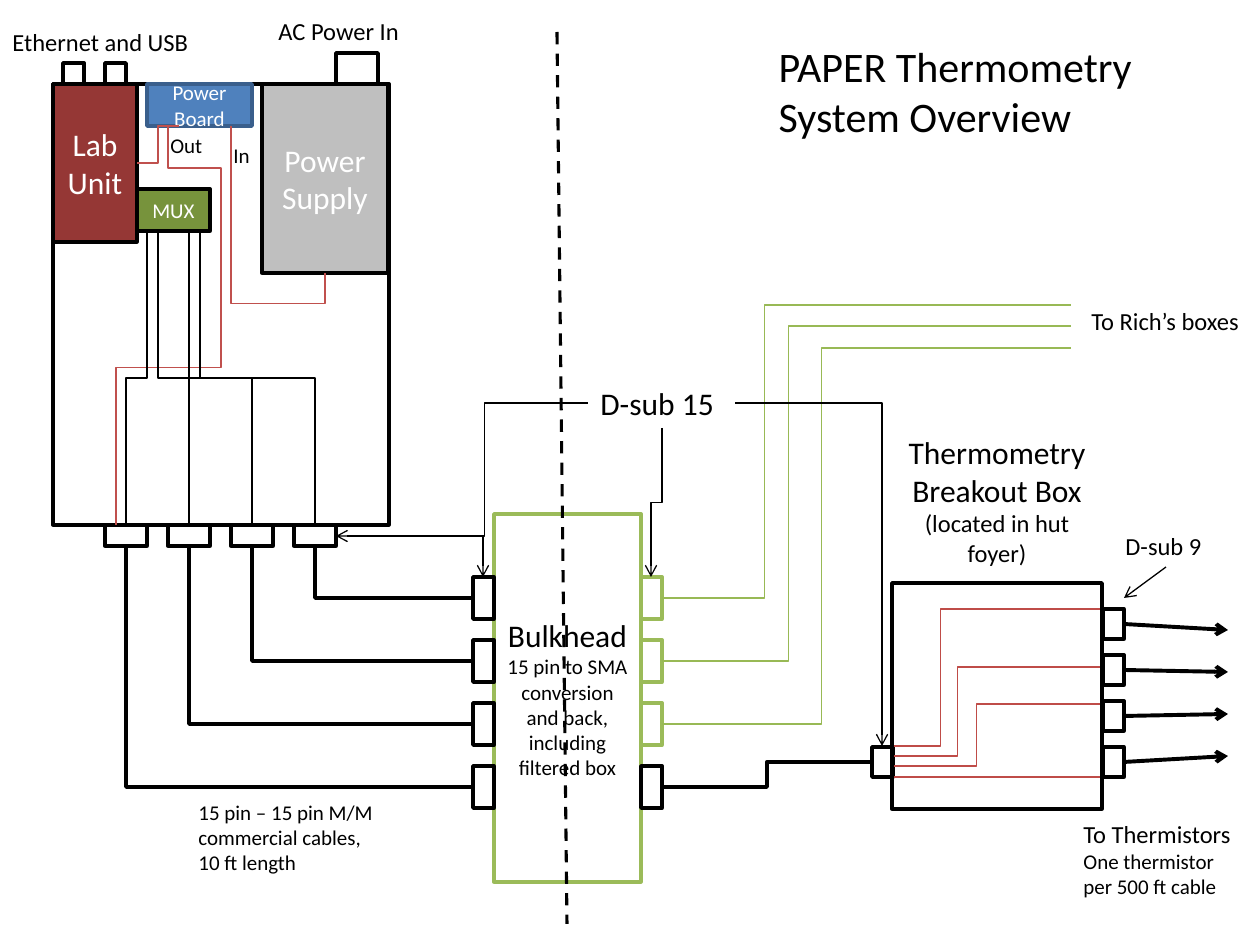
from lxml import etree
from pptx import Presentation
from pptx.dml.color import RGBColor
from pptx.enum.dml import MSO_LINE
from pptx.enum.shapes import MSO_CONNECTOR, MSO_SHAPE
from pptx.enum.text import MSO_ANCHOR, MSO_AUTO_SIZE, PP_ALIGN
from pptx.oxml.ns import qn
from pptx.util import Pt

PIXEL = 914400 / 126
RECTANGLE = MSO_SHAPE.RECTANGLE
STRAIGHT, ELBOW = MSO_CONNECTOR.STRAIGHT, MSO_CONNECTOR.ELBOW
DASH = MSO_LINE.DASH
LEFT, CENTER = PP_ALIGN.LEFT, PP_ALIGN.CENTER
TOP, MIDDLE = MSO_ANCHOR.TOP, MSO_ANCHOR.MIDDLE
FIXED = MSO_AUTO_SIZE.NONE

FONT = "Calibri"
BLACK, WHITE = "000000", "FFFFFF"
GREEN, WIRE_GREEN = "9BBB59", "98B955"
RED, WIRE_RED = "C0504D", "BF4C48"
PORT_STEP = 63
PORT_CENTER = 598


def emu(pixels):
    return round(pixels * PIXEL)


def rgb(color):
    return RGBColor.from_string(color)


def write(shape, lines, color=BLACK, align=LEFT, anchor=TOP, wrap=True):
    """Fill a shape with (text, size) paragraphs."""
    frame = shape.text_frame
    frame.text = "\n".join(text for text, size in lines)
    frame.auto_size = FIXED
    frame.word_wrap = wrap
    frame.vertical_anchor = anchor
    for paragraph, (text, size) in zip(frame.paragraphs, lines):
        paragraph.alignment = align
        for run in paragraph.runs:
            run.font.name = FONT
            run.font.size = Pt(size)
            run.font.color.rgb = rgb(color)


def box(slide, bounds, lines=(), fill=WHITE, line=BLACK, color=WHITE):
    shape = slide.shapes.add_shape(RECTANGLE, *map(emu, bounds))
    shape.shadow.inherit = False
    if fill:
        shape.fill.solid()
        shape.fill.fore_color.rgb = rgb(fill)
    else:
        shape.fill.background()
    shape.line.color.rgb = rgb(line)
    shape.line.width = Pt(2)
    if lines:
        write(shape, lines, color, CENTER, MIDDLE)


def label(slide, bounds, *lines, **layout):
    write(slide.shapes.add_textbox(*map(emu, bounds)), lines, **layout)


def line(slide, start, end, color=BLACK, width=0.75, arrow=False, kind=STRAIGHT, dash=None):
    connector = slide.shapes.add_connector(kind, *map(emu, (*start, *end)))
    connector.line.color.rgb = rgb(color)
    connector.line.width = Pt(width)
    if dash:
        connector.line.dash_style = dash
    properties = connector.element.spPr
    if arrow:
        etree.SubElement(properties.find(qn("a:ln")), qn("a:tailEnd"), type="arrow")
    etree.SubElement(properties, qn("a:effectLst"))
    return connector


def elbow(slide, start, end, color=BLACK, width=0.75, bend=None, downward=False, arrow=False):
    """Bent line; without a bend ratio it has a single corner.

    A downward line leaves its start vertically, so its frame is turned.
    """
    rotation = 0
    if downward:
        (x1, y1), (x2, y2) = start, end
        middle_x, middle_y = (x1 + x2) / 2, (y1 + y2) / 2
        side = 1 if x2 > x1 else -1
        half_width, half_height = side * (y2 - y1) / 2, abs(x2 - x1) / 2
        start = middle_x + half_width, middle_y - half_height
        end = middle_x - half_width, middle_y + half_height
        rotation = 270 if side > 0 else 90
    properties = line(slide, start, end, color, width, arrow, ELBOW).element.spPr
    if rotation:
        properties.find(qn("a:xfrm")).set("rot", str(rotation * 60000))
    geometry = properties.find(qn("a:prstGeom"))
    if bend is None:
        geometry.set("prst", "bentConnector2")
    else:
        guides = geometry.find(qn("a:avLst"))
        if guides is None:
            guides = etree.SubElement(geometry, qn("a:avLst"))
        etree.SubElement(guides, qn("a:gd"), name="adj1", fmla=f"val {round(bend * 100000)}")


def draw_bulkhead(slide):
    box(slide, (494, 514, 147, 368), [
        ("Bulkhead", 18),
        ("15 pin to SMA conversion and back, including filtered box", 12),
    ], line=GREEN, color=BLACK)
    for index in range(4):
        top = PORT_CENTER - 21 + PORT_STEP * index
        box(slide, (473, top, 21, 42))
        box(slide, (641, top, 21, 42), line=GREEN if index < 3 else BLACK)
        # Cable from the enclosure
        elbow(slide, (315 - PORT_STEP * index, 546), (473, top + 21),
              width=2.25, downward=True)
    # Green lines leading to the upper right
    for index, (height, bend) in enumerate([(305, 0.25), (326, 0.31), (348, 0.39)]):
        elbow(slide, (662, PORT_CENTER + PORT_STEP * index), (1071, height),
              WIRE_GREEN, bend=bend)
    elbow(slide, (662, 787), (872, 762), width=2.25, bend=0.5)


def draw_enclosure(slide):
    box(slide, (53, 84, 336, 441))
    for index in range(4):
        box(slide, (105 + PORT_STEP * index, 525, 42, 21))
    box(slide, (262, 84, 126, 189), [("Power Supply", 18)], fill="BFBFBF")
    box(slide, (53, 84, 84, 158), [("Lab Unit", 18)], fill="953735")
    box(slide, (137, 189, 73, 42), [("MUX", 12)], fill="77933C")
    for bounds in [(63, 63, 21, 21), (105, 63, 21, 21), (336, 53, 42, 31)]:
        box(slide, bounds)
    box(slide, (147, 84, 105, 42), [("Power Board", 12)], fill="4F81BD", line="3A5F8C")
    # Power wiring
    elbow(slide, (231, 126), (325, 273), RED, bend=1.21, downward=True)
    elbow(slide, (179, 126), (137, 163), RED, bend=0.5)
    elbow(slide, (168, 126), (221, 210), RED, bend=0.5, downward=True)
    elbow(slide, (221, 210), (116, 525), RED, bend=0.5, downward=True)
    # Multiplexer wiring
    for index, source in enumerate([147, 158, 189, 200]):
        elbow(slide, (source, 231), (126 + PORT_STEP * index, 525), bend=0.5, downward=True)


def draw_breakout_box(slide):
    box(slide, (872, 747, 21, 30))
    for index in range(4):
        center = 624 + 46 * index
        box(slide, (1103, center - 15, 21, 30))
        line(slide, (1124, center), (1228, 630 + 42 * index), width=2.25, arrow=True)
    for start, end, bend in [(746, 609, 0.23), (756, 667, 0.31), (766, 704, 0.4)]:
        elbow(slide, (892, start), (1103, end), WIRE_RED, bend=bend)
    line(slide, (892, 777), (1103, 777), WIRE_RED)
    box(slide, (892, 583, 210, 226), fill=None)


def draw_callouts(slide):
    line(slide, (1166, 567), (1124, 598), arrow=True)
    line(slide, (483, 537), (483, 577), arrow=True)
    elbow(slide, (662, 428), (651, 577), bend=0.5, downward=True, arrow=True)
    elbow(slide, (735, 403), (882, 746), arrow=True)
    elbow(slide, (588, 403), (336, 536), bend=0.41, arrow=True)
    line(slide, (557, 32), (567, 924), width=1.75, dash=DASH)


def draw_labels(slide):
    label(slide, (892, 428, 210, 144), ("Thermometry\vBreakout Box", 18),
          ("(located in hut foyer)", 14), align=CENTER, anchor=MIDDLE)
    label(slide, (1071, 813, 181, 93), ("To Thermistors", 14),
          ("One thermistor per 500 ft cable", 12))
    label(slide, (186, 793, 233, 89), ("15 pin – 15 pin M/M commercial cables,", 12),
          ("10 ft length", 12))
    label(slide, (1079, 300, 174, 43), ("To Rich’s boxes", 14), wrap=False)
    for text, size, bounds in [
        ("D-sub 9", 14, (1113, 525, 105, 43)),
        ("D-sub 15", 18, (588, 378, 147, 50)),
        ("Ethernet and USB", 14, (0, 21, 210, 43)),
        ("AC Power In", 14, (266, 10, 168, 42)),
        ("In", 12, (221, 136, 42, 38)),
        ("Out", 12, (158, 126, 74, 38)),
    ]:
        label(slide, bounds, (text, size))


def add_title(slide):
    title = slide.shapes.title
    title.left, title.top, title.width, title.height = map(emu, (766, 34, 462, 115))
    write(title, [("PAPER Thermometry System Overview", 24)])


def main():
    presentation = Presentation()
    presentation.slide_width, presentation.slide_height = emu(1260), emu(945)
    slide = presentation.slides.add_slide(presentation.slide_layouts[5])
    add_title(slide)
    draw_bulkhead(slide)
    draw_enclosure(slide)
    draw_breakout_box(slide)
    draw_callouts(slide)
    draw_labels(slide)
    presentation.save("out.pptx")


main()
